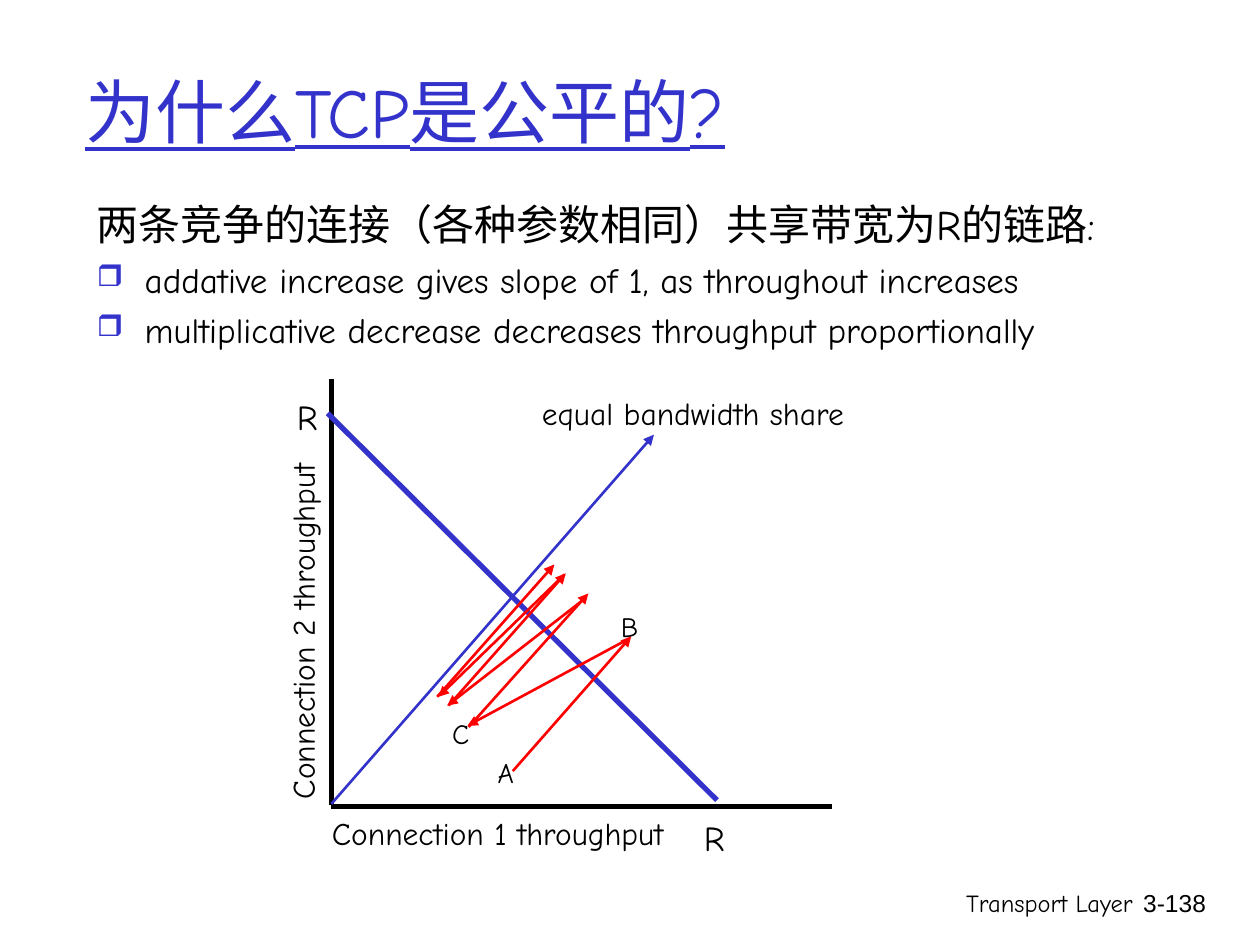
from typing import NamedTuple

from lxml import etree
from pptx import Presentation
from pptx.dml.color import RGBColor
from pptx.enum import shapes, text
from pptx.oxml import ns
from pptx.util import Inches, Pt

BLACK = RGBColor(0x00, 0x00, 0x00)
BLUE = RGBColor(0x33, 0x33, 0xCC)
RED = RGBColor(0xFF, 0x00, 0x00)
WHITE = RGBColor(0xFF, 0xFF, 0xFF)
COMIC = "Comic Neue"
LEFT, MID, RIGHT = text.PP_ALIGN.LEFT, text.PP_ALIGN.CENTER, text.PP_ALIGN.RIGHT


class Label(NamedTuple):
    words: str
    left: float
    top: float
    width: float
    height: float
    size: float
    align: text.PP_ALIGN = MID
    before: float = 0
    font: str = COMIC
    turn: float = 0


class Line(NamedTuple):
    start: tuple[float, float]
    end: tuple[float, float]
    color: RGBColor
    width: float
    arrow: bool = False


class Item(NamedTuple):
    words: str
    size: float
    before: float
    bullet: bool


TITLE = Label("为什么TCP是公平的?", 0.58, 0.25, 8.5, 1.25, 40, LEFT)
BODY = Label("", 0.67, 1.53, 9.08, 5.08, 20, LEFT)
ITEMS = [
    Item("两条竞争的连接（各种参数相同）共享带宽为R的链路:", 24, 6, False),
    Item("addative increase gives slope of 1, as throughout increases", 20, 5, True),
    Item("multiplicative decrease decreases throughput proportionally", 20, 5, True),
]
LABELS = [
    Label("Transport Layer", 5.92, 7, 3.17, 0.5, 14, RIGHT),
    Label("3-138", 8.93, 7, 0.74, 0.5, 14, RIGHT, font="Arial"),
    Label("R", 2.22, 3.09, 0.44, 0.44, 20, before=12.5),
    Label("R", 5.45, 6.43, 0.44, 0.44, 20, before=12.5),
    Label("equal bandwidth share", 3.56, 3.08, 3.88, 0.4, 18, before=11.2),
    Label("Connection 1 throughput", 2.01, 6.41, 3.88, 0.4, 18, before=11.2),
    Label("Connection 2 throughput", 0.46, 4.81, 3.88, 0.4, 18, before=11.2, turn=270),
    Label("A", 3.85, 5.95, 0.21, 0.37, 16),
    Label("B", 4.83, 4.79, 0.28, 0.37, 16),
    Label("C", 3.49, 5.64, 0.2, 0.37, 16),
]
AXES = [
    Line((2.63, 6.4), (6.6, 6.4), BLACK, 3),
    Line((2.63, 6.39), (2.63, 3.01), BLACK, 3),
    Line((2.63, 6.38), (5.19, 3.45), BLUE, 1.5, True),
    Line((2.6, 3.28), (5.69, 6.35), BLUE, 3),
]
STEPS = [
    ((4.07, 6.12), (5.01, 5.05)),
    ((4.99, 5.07), (3.71, 5.76)),
    ((3.72, 5.77), (4.67, 4.71)),
    ((4.63, 4.76), (3.55, 5.6)),
    ((3.56, 5.6), (4.49, 4.55)),
    ((4.48, 4.56), (3.48, 5.53)),
    ((3.47, 5.53), (4.4, 4.48)),
]


def style(para, size: float, color: RGBColor, font: str = COMIC) -> None:
    for run in para.runs:
        run.font.size = Pt(size)
        run.font.name = font
        run.font.color.rgb = color


def add_label(slide, label: Label, color: RGBColor = BLACK):
    box = slide.shapes.add_textbox(
        Inches(label.left), Inches(label.top), Inches(label.width), Inches(label.height)
    )
    box.rotation = label.turn
    frame = box.text_frame
    frame.word_wrap = True
    frame.text = label.words
    para = frame.paragraphs[0]
    para.alignment = label.align
    para.space_before = Pt(label.before)
    style(para, label.size, color, label.font)
    return frame


def add_line(slide, line: Line) -> None:
    link = slide.shapes.add_connector(
        shapes.MSO_CONNECTOR.STRAIGHT, *map(Inches, line.start + line.end)
    )
    link.line.color.rgb = line.color
    link.line.width = Pt(line.width)
    if line.arrow:
        stroke = link.line._get_or_add_ln()
        etree.SubElement(stroke, ns.qn("a:tailEnd"), type="triangle")
    etree.SubElement(link._element.spPr, ns.qn("a:effectLst"))


def add_bullet(para) -> None:
    props = para._p.get_or_add_pPr()
    tint = etree.SubElement(props, ns.qn("a:buClr"))
    etree.SubElement(tint, ns.qn("a:srgbClr"), val=str(BLUE))
    etree.SubElement(props, ns.qn("a:buSzPct"), val="85000")
    etree.SubElement(props, ns.qn("a:buChar"), char="❒")


def add_body(slide) -> None:
    frame = add_label(slide, BODY)
    for index, item in enumerate(ITEMS):
        para = frame.add_paragraph() if index else frame.paragraphs[0]
        para.text = item.words
        para.space_before = Pt(item.before)
        props = para._p.get_or_add_pPr()
        props.set("marL", str(Inches(0.38)))
        props.set("indent", str(Inches(-0.38)))
        if item.bullet:
            add_bullet(para)
        style(para, item.size, BLACK)


def main() -> None:
    deck = Presentation()
    deck.slide_width, deck.slide_height = Inches(10), Inches(7.5)
    slide = deck.slides.add_slide(deck.slide_layouts[6])
    slide.background.fill.solid()
    slide.background.fill.fore_color.rgb = WHITE

    title = add_label(slide, TITLE, BLUE)
    title.vertical_anchor = text.MSO_ANCHOR.MIDDLE
    title.paragraphs[0].runs[0].font.underline = True
    add_body(slide)
    for line in AXES:
        add_line(slide, line)
    for start, end in STEPS:
        add_line(slide, Line(start, end, RED, 1.5, True))
    for label in LABELS:
        add_label(slide, label)
    deck.save("out.pptx")


if __name__ == "__main__":
    main()
